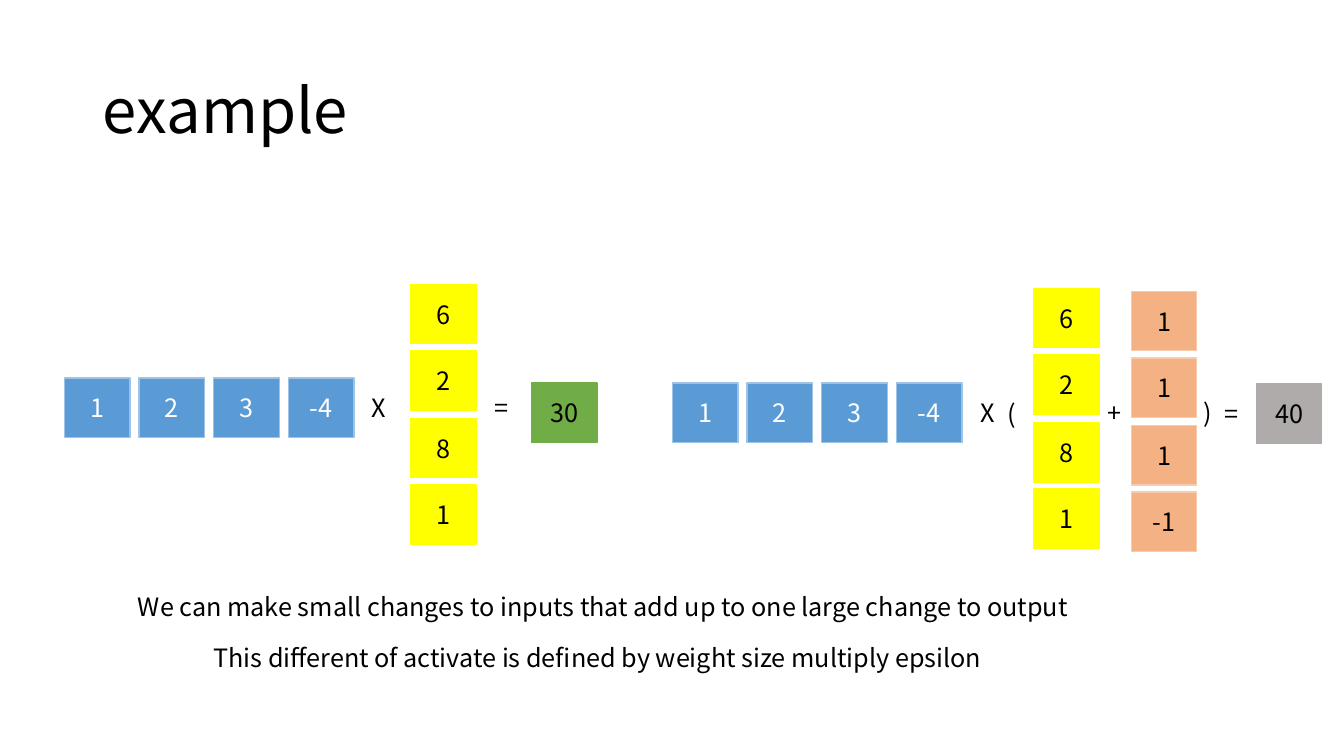
from pptx import Presentation
from pptx.dml.color import RGBColor
from pptx.enum.shapes import MSO_SHAPE
from pptx.enum.text import MSO_ANCHOR, MSO_AUTO_SIZE, PP_ALIGN
from pptx.util import Pt

PX = 9144  # 100 px to the inch
FONT = "Noto Sans CJK KR"
BLACK = RGBColor(0x00, 0x00, 0x00)
WHITE = RGBColor(0xFF, 0xFF, 0xFF)
BLUE = RGBColor(0x5B, 0x9B, 0xD5)
SKY = RGBColor(0x9D, 0xC3, 0xE6)
YELLOW = RGBColor(0xFF, 0xFF, 0x00)
GREEN = RGBColor(0x70, 0xAD, 0x47)
GREY = RGBColor(0xAF, 0xAB, 0xAB)
ORANGE = RGBColor(0xF4, 0xB1, 0x83)
PEACH = RGBColor(0xF8, 0xCB, 0xAD)

TITLE = "example"
INPUT = ["1", "2", "3", "-4"]
WEIGHT = ["6", "2", "8", "1"]
DELTA = ["1", "1", "1", "-1"]

# values, left, top, fill, line, text colour
ROWS = [
    (INPUT, 64, 375, BLUE, SKY, WHITE),
    (INPUT, 667, 380, BLUE, SKY, WHITE),
]
COLUMNS = [
    (WEIGHT, 407, 282, YELLOW, YELLOW, BLACK),
    (["30"], 527, 380, GREEN, GREEN, BLACK),
    (WEIGHT, 1025, 286, YELLOW, YELLOW, BLACK),
    (["40"], 1246, 381, GREY, GREY, BLACK),
    (DELTA, 1122, 289, ORANGE, PEACH, BLACK),
]
# text, left, top, width
LABELS = [
    ("X", 359, 384, 39),
    ("=", 481, 384, 37),
    ("X", 963, 389, 39),
    ("(", 989, 390, 32),
    ("+", 1089, 389, 37),
    (")", 1184, 389, 32),
    ("=", 1205, 390, 37),
    ("We can make small changes to inputs that add up to one large change to output",
     127, 582, 1096),
    ("This different of activate is defined by weight size multiply epsilon",
     202, 632, 934),
]
CELL_W, CELL_H, LABEL_H = 65, 59, 40
STEP_X, STEP_Y = 74, 199 / 3


def box(left, top, width, height):
    return [round(side) * PX for side in (left, top, width, height)]


def write(frame, text, size=18, color=BLACK, align=PP_ALIGN.LEFT,
          anchor=MSO_ANCHOR.TOP, spacing=1.0):
    frame.word_wrap = True
    frame.vertical_anchor = anchor
    para = frame.paragraphs[0]
    para.alignment = align
    para.line_spacing = spacing
    run = para.add_run()
    run.text = text
    run.font.name = FONT
    run.font.size = Pt(size)
    run.font.color.rgb = color


def add_cells(slide, group, step_x=0, step_y=0):
    """Draw a vector of number cells, each one step on from the last."""
    values, left, top, fill, line, color = group
    for i, value in enumerate(values):
        cell = slide.shapes.add_shape(
            MSO_SHAPE.RECTANGLE,
            *box(left + i * step_x, top + i * step_y, CELL_W, CELL_H))
        cell.shadow.inherit = False
        cell.fill.solid()
        cell.fill.fore_color.rgb = fill
        cell.line.color.rgb = line
        cell.line.width = Pt(1)
        write(cell.text_frame, value, color=color,
              align=PP_ALIGN.CENTER, anchor=MSO_ANCHOR.MIDDLE)


def main():
    deck = Presentation()
    deck.slide_width, deck.slide_height = 1333 * PX, 750 * PX
    slide = deck.slides.add_slide(deck.slide_layouts[5])

    title = slide.shapes.title
    title.left, title.top, title.width, title.height = box(92, 40, 1150, 145)
    write(title.text_frame, TITLE, size=44, anchor=MSO_ANCHOR.MIDDLE, spacing=0.9)

    for row in ROWS:
        add_cells(slide, row, step_x=STEP_X)
    for column in COLUMNS:
        add_cells(slide, column, step_y=STEP_Y)
    for text, left, top, width in LABELS:
        label = slide.shapes.add_textbox(*box(left, top, width, LABEL_H))
        label.text_frame.auto_size = MSO_AUTO_SIZE.SHAPE_TO_FIT_TEXT
        write(label.text_frame, text)

    deck.save("out.pptx")


if __name__ == "__main__":
    main()
